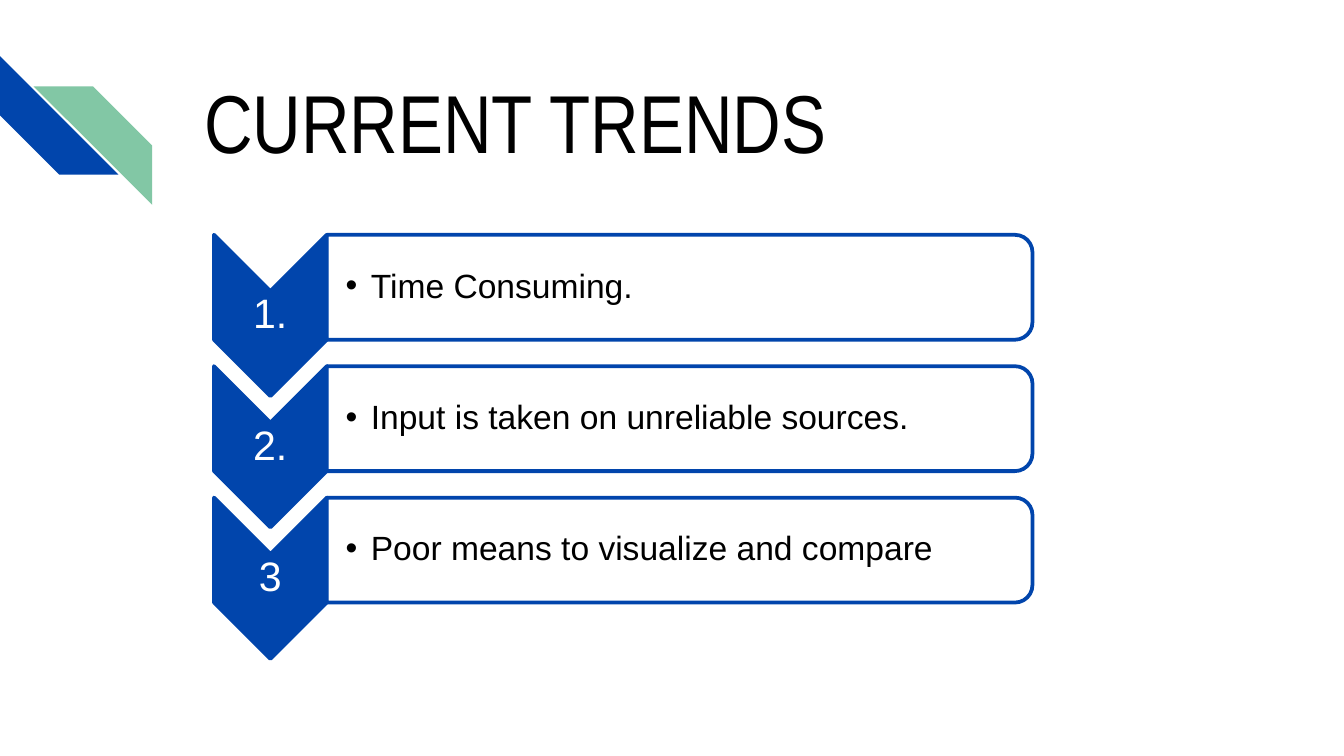
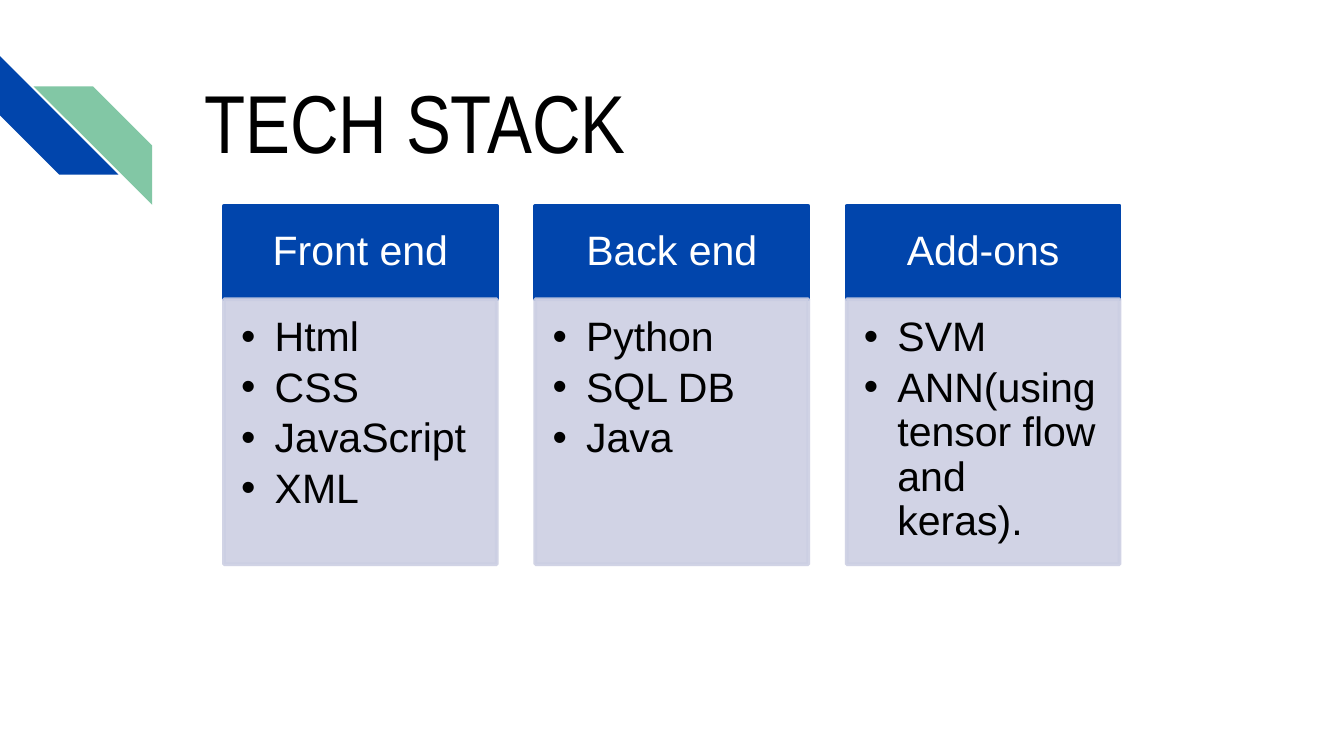
import pptx
import pptx.util
import pptx.dml.color
import pptx.enum.shapes
import pptx.enum.text
import pptx.oxml.ns
import lxml.etree

Pt = pptx.util.Pt
SHAPE = pptx.enum.shapes.MSO_SHAPE
ANCHOR = pptx.enum.text.MSO_ANCHOR
ALIGN = pptx.enum.text.PP_ALIGN

# Shared colours and fonts
BLUE, GREEN, LILAC = "0145AC", "82C7A5", "CCCFE3"
BLACK, WHITE = "000000", "FFFFFF"
BODY_FONT, TITLE_FONT = "Arial", "Arial Narrow"


def rgb(hex_colour):
    return pptx.dml.color.RGBColor.from_string(hex_colour)


def add_child(parent, tag, **attributes):
    child = lxml.etree.SubElement(parent, pptx.oxml.ns.qn(tag))
    for name, value in attributes.items():
        child.set(name, str(value))


def paint(colour_format, colour, opacity):
    """Make a fill solid, with opacity in percent."""
    colour_format.solid()
    colour_format.fore_color.rgb = rgb(colour)
    if opacity < 100:
        solid = colour_format._xPr.find(pptx.oxml.ns.qn("a:solidFill"))
        add_child(solid[0], "a:alpha", val=opacity * 1000)


def add_box(s, kind, box, fill, line=None, fill_opacity=100, line_opacity=100, rotation=0):
    """Add a shape that covers box (left, top, width, height) once rotated."""
    x, y, w, h = box
    if rotation % 180:
        x, y, w, h = x + (w - h) / 2, y + (h - w) / 2, h, w
    sp = s.shapes.add_shape(kind, Pt(x), Pt(y), Pt(w), Pt(h))
    sp.rotation = rotation
    sp.shadow.inherit = False
    paint(sp.fill, fill, fill_opacity)
    if line:
        sp.line.width = Pt(2)
        paint(sp.line.fill, line, line_opacity)
    else:
        sp.line.fill.background()
    return sp


def add_textbox(s, box):
    return s.shapes.add_textbox(*[Pt(v) for v in box])


def write(sp, lines, size, colour, insets, anchor=ANCHOR.MIDDLE, align=ALIGN.LEFT,
          font=BODY_FONT, spacing=0.9, after=0, bullet_indent=0):
    tf = sp.text_frame
    tf.word_wrap = True
    tf.vertical_anchor = anchor
    tf.margin_left, tf.margin_top, tf.margin_right, tf.margin_bottom = [Pt(v) for v in insets]
    tf.text = "\n".join(lines)
    for p in tf.paragraphs:
        p.alignment = align
        p.line_spacing = spacing
        p.space_after = Pt(after)
        if bullet_indent:
            pPr = p._p.get_or_add_pPr()
            pPr.set("marL", str(Pt(bullet_indent)))
            pPr.set("indent", str(-Pt(bullet_indent)))
            add_child(pPr, "a:buFont", typeface=BODY_FONT)
            add_child(pPr, "a:buChar", char="•")
        for r in p.runs:
            r.font.name = font
            r.font.size = Pt(size)
            r.font.color.rgb = rgb(colour)


def add_titled_slide(prs, title):
    s = prs.slides.add_slide(prs.slide_layouts[6])
    s.background.fill.solid()
    s.background.fill.fore_color.rgb = rgb(WHITE)
    # Corner stripes
    for box, colour, rotation in (((0, 30, 63.5, 63.5), BLUE, 270),
                                  ((18, 46.3, 63.5, 63.5), GREEN, 90)):
        add_box(s, SHAPE.DIAGONAL_STRIPE, box, colour, rotation=rotation)
    # Title
    write(add_textbox(s, (102.4, 31, 554.4, 72)), [title], 44, BLACK, [7.2] * 4,
          anchor=ANCHOR.TOP, font=TITLE_FONT, spacing=1)
    return s


def add_trend(s, top, number, text):
    """Add a numbered chevron with its rounded panel."""
    left, width, panel_left = 114.6, 60.5, 175.1
    add_box(s, SHAPE.CHEVRON, (left, top, width, 86.4), BLUE, BLUE, rotation=90)
    write(add_textbox(s, (left, top + 30.2, width, 25.9)), [number], 22, WHITE,
          [1.1] * 4, align=ALIGN.CENTER)
    add_box(s, SHAPE.ROUND_2_SAME_RECTANGLE, (panel_left, top, 378, 56.2), WHITE, BLUE,
            fill_opacity=90, rotation=90)
    write(add_textbox(s, (panel_left, top + 2.7, 375.2, 50.7)), [text], 18, BLACK,
          (10.1, 0.9, 0.9, 0.9), bullet_indent=13.5)


def add_stack_card(s, left, heading, items):
    """Add a heading block above a bulleted list."""
    width, top, heading_height = 146.2, 110.3, 50
    head = add_box(s, SHAPE.RECTANGLE, (left, top, width, heading_height), BLUE, BLUE)
    write(head, [heading], 22, WHITE, (12.3, 7, 12.3, 7), align=ALIGN.CENTER)
    body = add_box(s, SHAPE.RECTANGLE, (left, top + heading_height, width, 142), LILAC, LILAC,
                   fill_opacity=90, line_opacity=90)
    write(body, items, 22, BLACK, (9.2, 9.2, 12.3, 13.9), anchor=ANCHOR.TOP,
          after=3.3, bullet_indent=18)


def main():
    prs = pptx.Presentation()
    prs.slide_width, prs.slide_height = Pt(720), Pt(405)

    # Current trends
    s = add_titled_slide(prs, "CURRENT TRENDS")
    trends = (("1.", "Time Consuming."),
              ("2.", "Input is taken on unreliable sources."),
              ("3", "Poor means to visualize and compare"))
    for i, (number, text) in enumerate(trends):
        add_trend(s, 125.8 + 70.4 * i, number, text)

    # Tech stack
    s = add_titled_slide(prs, "TECH STACK")
    stack = (("Front end", ["Html", "CSS", "JavaScript", "XML"]),
             ("Back end", ["Python", "SQL DB", "Java"]),
             ("Add-ons", ["SVM", "ANN(using tensor flow and keras)."]))
    for i, (heading, items) in enumerate(stack):
        add_stack_card(s, 120 + 166.8 * i, heading, items)

    prs.save("out.pptx")


if __name__ == "__main__":
    main()
